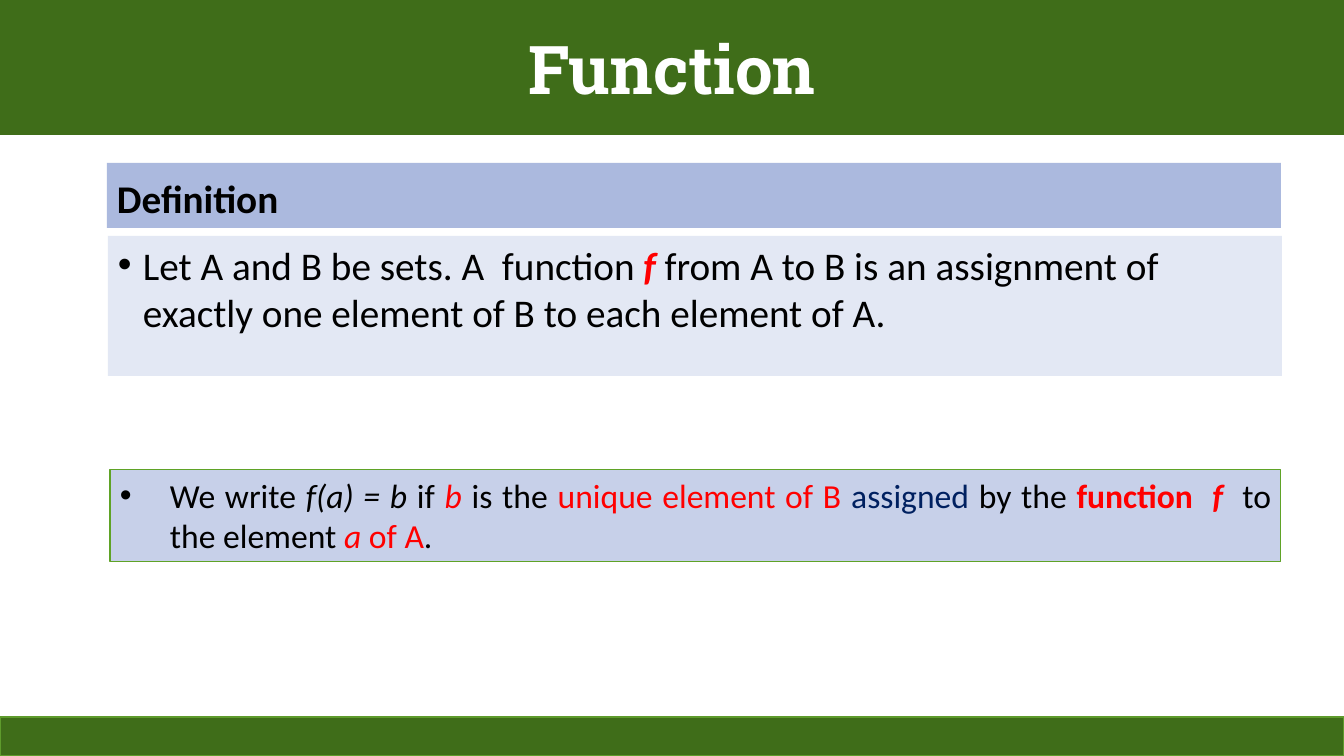
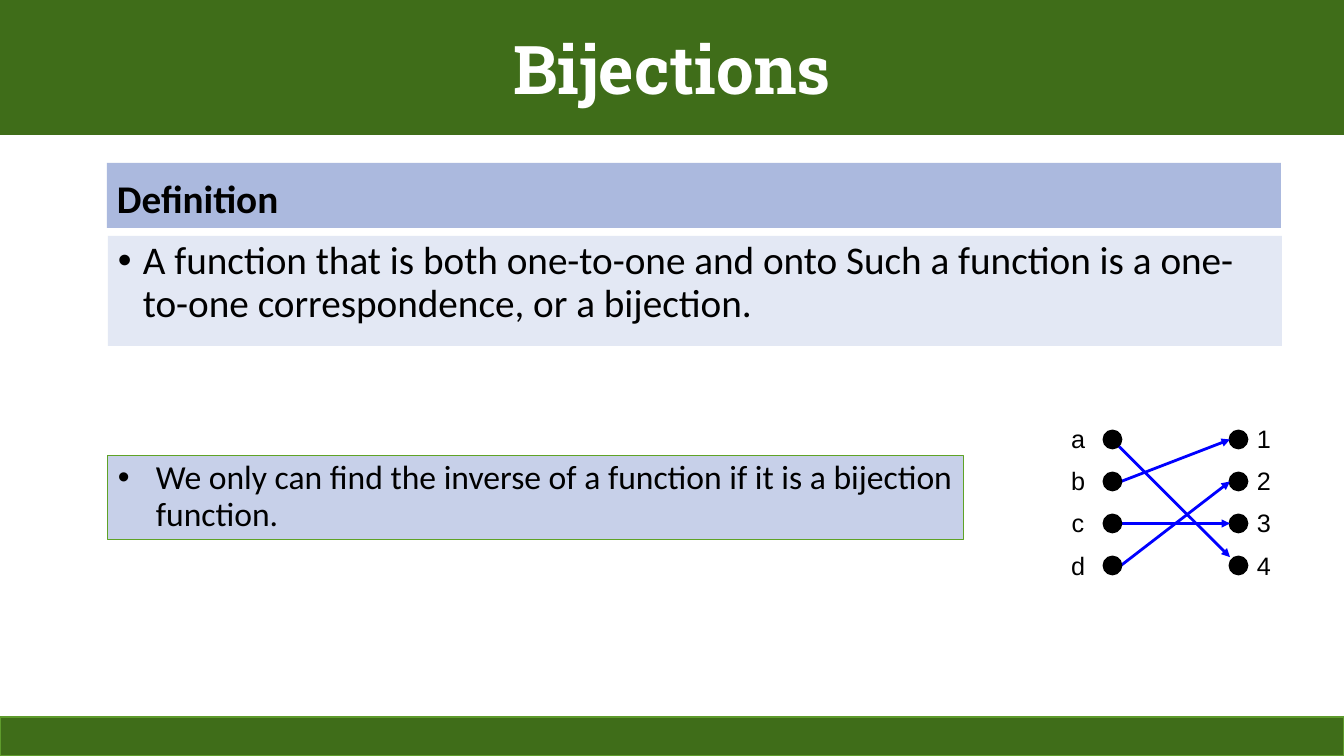
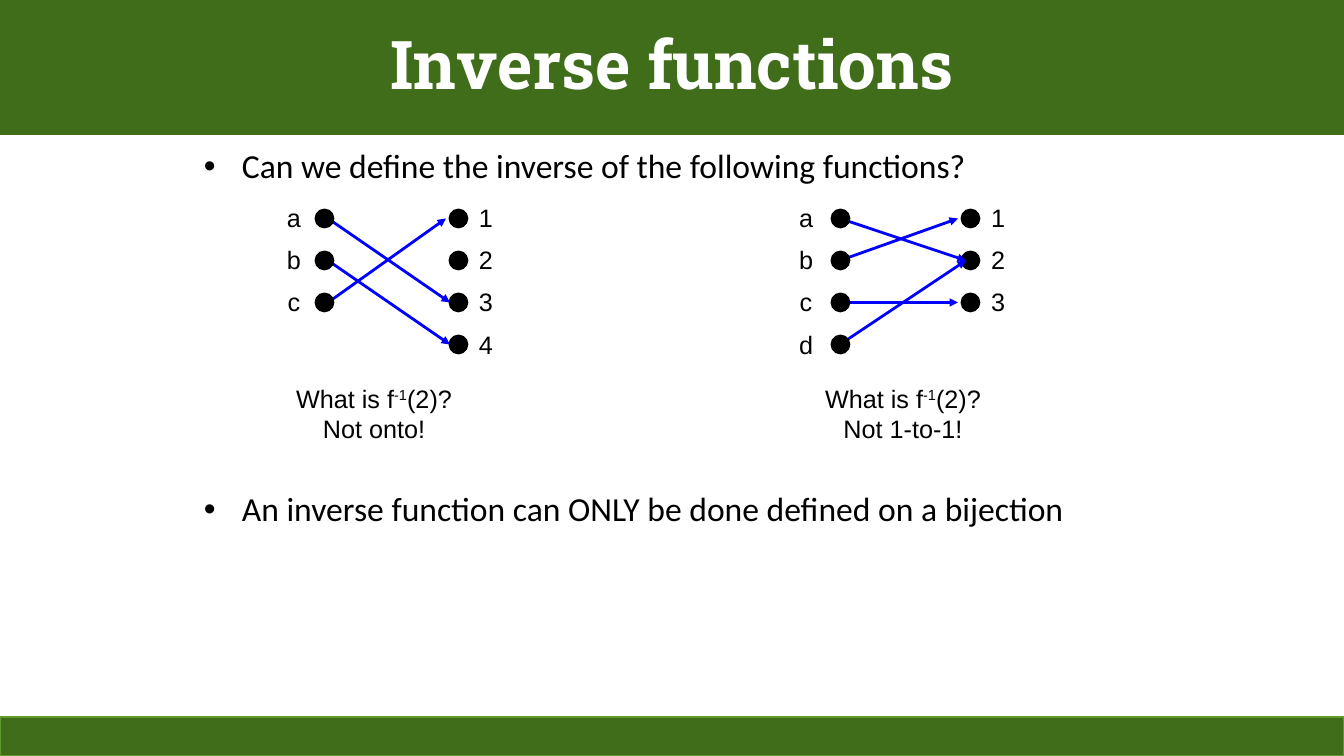
from lxml import etree
from pptx import Presentation
from pptx.dml.color import RGBColor
from pptx.enum.shapes import MSO_CONNECTOR as CONN, MSO_SHAPE as SHAPE
from pptx.enum.text import MSO_ANCHOR as ANCHOR, PP_ALIGN as ALIGN
from pptx.oxml.ns import qn
from pptx.util import Emu, Pt

PX = 914400 / 100.8
W, H = 1344, 756
ROW, DOT = 42, 17
C = {
    "green": "3F6D19", "edge": "5E9B2C", "callout_edge": "5FA326",
    "heading": "ABB9DE", "panel": "E3E8F4", "callout": "C7D0E9",
    "black": "000000", "white": "FFFFFF", "red": "FF0000",
    "navy": "002060", "blue": "0000FF",
}
TITLE = {"name": "Roboto Slab", "size": Pt(48), "bold": True, "color": "white"}
BODY = {"name": "Calibri", "size": Pt(28), "color": "black"}
NOTE = BODY | {"size": Pt(24)}
LABEL = {"name": "Arial", "size": Pt(18), "color": "black"}
RED = {"color": "red"}
ITALIC = {"italic": True}
BOLD = {"bold": True}


def add_rect(shapes, box, fill, line=None, width=2, kind=SHAPE.RECTANGLE):
    sp = shapes.add_shape(kind, *[Emu(round(v * PX)) for v in box])
    sp.shadow.inherit = False
    sp.fill.solid()
    sp.fill.fore_color.rgb = RGBColor.from_string(C[fill])
    if line:
        sp.line.color.rgb = RGBColor.from_string(C[line])
        sp.line.width = Pt(width)
    else:
        sp.line.fill.background()
    return sp


def write(sp, font, paragraphs, indent=0, wrap=True, anchor=ANCHOR.TOP, **para):
    """Fill a shape; each paragraph is a list of (text, font changes) runs."""
    tf = sp.text_frame
    tf.word_wrap = wrap
    tf.vertical_anchor = anchor
    for i, runs in enumerate(paragraphs):
        p = tf.paragraphs[0] if i == 0 else tf.add_paragraph()
        if indent:
            pPr = p._p.get_or_add_pPr()
            pPr.set("marL", str(round(indent * PX)))
            pPr.set("indent", str(round(-indent * PX)))
            etree.SubElement(pPr, qn("a:buFont")).set("typeface", "Arial")
            etree.SubElement(pPr, qn("a:buChar")).set("char", "•")
        for key, value in ({"alignment": ALIGN.LEFT} | para).items():
            if i or key != "space_before":
                setattr(p, key, value)
        for text, changes in runs:
            r = p.add_run()
            r.text = text
            for key, value in (font | changes).items():
                if key == "color":
                    r.font.color.rgb = RGBColor.from_string(C[value])
                elif key == "baseline":
                    r._r.get_or_add_rPr().set("baseline", value)
                else:
                    setattr(r.font, key, value)


prs = Presentation()
prs.slide_width, prs.slide_height = Emu(round(W * PX)), Emu(round(H * PX))

# Title band and footer of every slide
slides = []
for title, spacing in [("Function", 1.0), ("Bijections", 1.0), ("Inverse functions", 0.9)]:
    s = prs.slides.add_slide(prs.slide_layouts[6])
    sp = add_rect(s.shapes, (0, 0, W, 135), "green")
    write(sp, TITLE, [[(title, {})]], anchor=ANCHOR.MIDDLE,
          alignment=ALIGN.CENTER, line_spacing=spacing)
    add_rect(s.shapes, (0, 717, W, 39), "green", "edge")
    slides.append(s)
function, bijections, inverse = slides

# Definition panels
function_def = [
    ("Let A and B be sets. A  function ", {}),
    ("f ", RED | BOLD | ITALIC),
    ("from A to B is an assignment of exactly one element of B to each element of A.", {}),
]
bijection_def = [("A function that is both one-to-one and onto Such a function is a "
                  "one-to-one correspondence, or a bijection.", {})]
for s, height, spacing, runs in [(function, 140, 1.0, function_def),
                                 (bijections, 110, 0.9, bijection_def)]:
    sp = add_rect(s.shapes, (107, 163, 1174, 65), "heading")
    write(sp, BODY | BOLD, [[("Definition", {})]], line_spacing=1.14)
    sp = add_rect(s.shapes, (108, 236, 1174, height), "panel")
    write(sp, BODY, [runs], indent=25, line_spacing=spacing)

# Callouts
sp = add_rect(function.shapes, (110, 470, 1171, 92), "callout", "callout_edge", 0.75)
write(sp, NOTE, [[
    ("We write ", {}), ("f(a) = b ", ITALIC), ("if ", {}), ("b ", RED | ITALIC),
    ("is the ", {}), ("unique element of B ", RED), ("assigned", {"color": "navy"}),
    (" by the ", {}), ("function ", RED | BOLD), (" f  ", RED | BOLD | ITALIC),
    ("to the element ", {}), ("a ", RED | ITALIC), ("of A", RED), (".", {}),
]], indent=50, alignment=ALIGN.JUSTIFY)
sp = add_rect(bijections.shapes, (108, 456, 856, 84), "callout", "callout_edge", 0.75)
write(sp, NOTE, [[("We only can find the inverse of a function if it is a bijection function.", {})]],
      indent=38, line_spacing=0.9)

# Bullets of the inverse slide, with room for the diagrams between them
sp = inverse.shapes.add_textbox(*[Emu(round(v * PX)) for v in (194, 145, 958, 561)])
write(sp, NOTE, [[("Can we define the inverse of the following functions?", {})],
                 [("An inverse function can ONLY be done defined on a bijection", {})]],
      indent=38, line_spacing=0.9, space_before=Pt(219))

# Mapping diagrams: slide, top of dots, (labels, label x, dot x) of each side,
# arrows as (start x, start row, end x, end row)
mappings = [
    (bijections, 431, ("abcd", 1061, 1104), ("1234", 1247, 1230),
     [(1121, 2, 1230, 2), (1112, 0, 1230, 2.8), (1121, 3, 1230, 1), (1121, 1, 1230, 0)]),
    (inverse, 210, ("abc", 277, 316), ("1234", 469, 450),
     [(328, 1, 450, 3), (328, 0, 450, 2), (328, 2, 446, 0)]),
    (inverse, 210, ("abcd", 789, 832), ("123", 981, 962),
     [(840, 1, 958, 0), (840, 0, 966, 1), (840, 2, 958, 2), (840, 3, 966, 1)]),
]
for s, top, domain, codomain, arrows in mappings:
    shapes = s.shapes.add_group_shape().shapes
    for side in (codomain, domain):
        labels, label_x, dot_x = side
        if side is domain:
            for x1, row1, x2, row2 in arrows:
                y1, y2 = [top + DOT / 2 + row * ROW for row in (row1, row2)]
                arrow = shapes.add_connector(
                    CONN.STRAIGHT, *[Emu(round(v * PX)) for v in (x1, y1, x2, y2)])
                arrow.line.color.rgb = RGBColor.from_string(C["blue"])
                arrow.line.width = Pt(2)
                etree.SubElement(arrow.line._get_or_add_ln(), qn("a:tailEnd")).set("type", "triangle")
                etree.SubElement(arrow._element.spPr, qn("a:effectLst"))
        for row in range(len(labels)):
            add_rect(shapes, (dot_x, top + row * ROW, DOT, DOT), "black", "black", kind=SHAPE.OVAL)
        box = (label_x, top - 25, 34, len(labels) * ROW + 11)
        sp = shapes.add_textbox(*[Emu(round(v * PX)) for v in box])
        write(sp, LABEL, [[(label, {})] for label in labels], wrap=False,
              alignment=ALIGN.CENTER, line_spacing=1.4)

# Questions under the two diagrams
for x, answer in [(285, "Not onto!"), (814, "Not 1-to-1!")]:
    sp = inverse.shapes.add_textbox(*[Emu(round(v * PX)) for v in (x, 378, 178, 70)])
    write(sp, LABEL, [[("What is f", {}), ("-1", {"baseline": "30000"}), ("(2)?", {})],
                      [(answer, {})]], wrap=False, alignment=ALIGN.CENTER)

prs.save("out.pptx")
